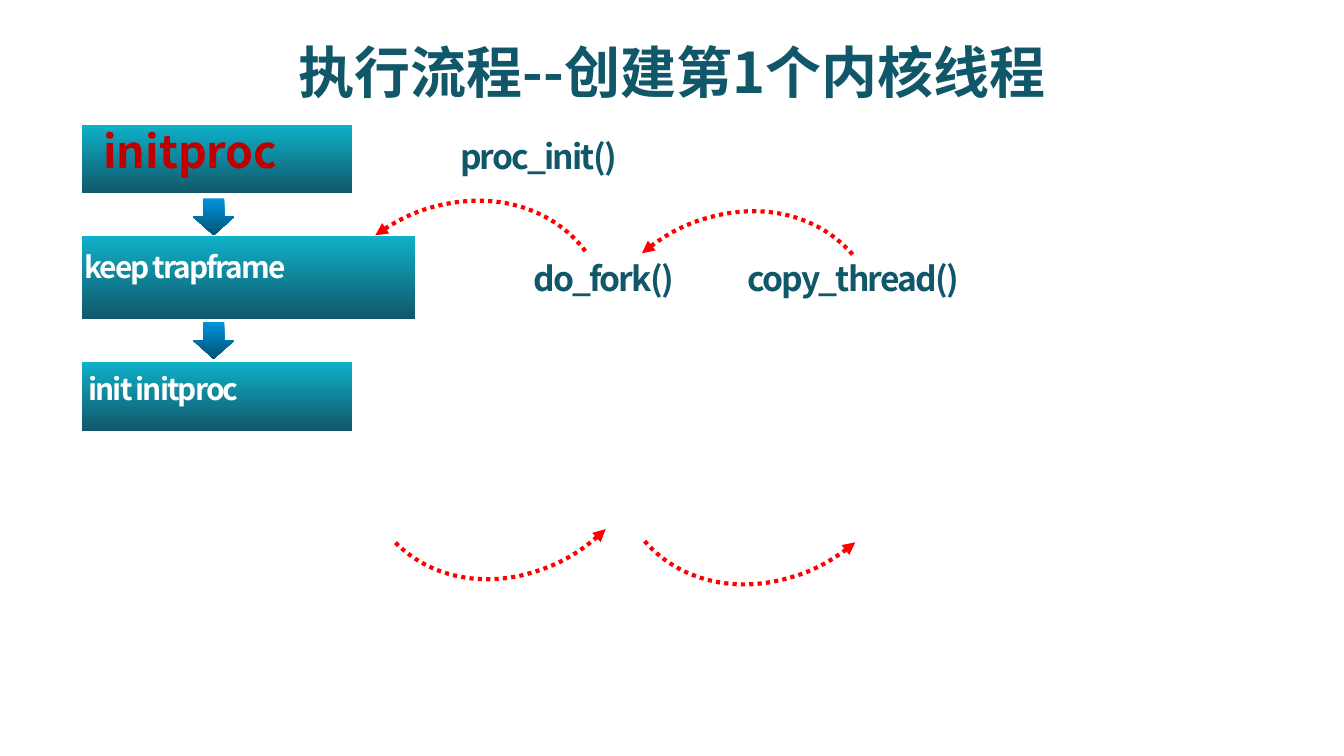
from lxml.etree import SubElement
from pptx import Presentation
from pptx.dml.color import RGBColor
from pptx.enum.dml import MSO_LINE
from pptx.enum.shapes import MSO_SHAPE as Shape
from pptx.enum.text import MSO_ANCHOR as Anchor, MSO_AUTO_SIZE as AutoSize, PP_ALIGN as Align
from pptx.oxml.ns import qn
from pptx.util import Pt

PX = 4572  # 200 px to the inch
FONT = "Noto Sans CJK SC"
TEAL, DEEP_RED, WHITE, RED = "11576A", "C00000", "FFFFFF", "FF0000"
BOX_GRADIENT = ("0EB1C8", TEAL)
ARROW_GRADIENT = ("0093DD", "005472")


def px(*lengths):
    return [length * PX for length in lengths]


def color(hex_string):
    return RGBColor.from_string(hex_string)


def write(frame, text, size, hex_string, align=Align.LEFT, tracking=0):
    frame.word_wrap = True
    frame.auto_size = AutoSize.NONE
    frame.vertical_anchor = Anchor.TOP
    frame.text = text
    para = frame.paragraphs[0]
    para.alignment = align
    span = para.runs[0]
    span.font.name = FONT
    span.font.size = Pt(size)
    span.font.bold = True
    span.font.color.rgb = color(hex_string)
    props = span.font._element
    SubElement(props, qn("a:ea")).set("typeface", FONT)
    if tracking:
        props.set("spc", str(tracking * 100))


def add_label(page, left, top, width, height, text, size, hex_string, tracking=-1):
    box = page.shapes.add_textbox(*px(left, top, width, height))
    write(box.text_frame, text, size, hex_string, tracking=tracking)


def add_gradient_shape(page, kind, left, top, width, height, stops):
    shape = page.shapes.add_shape(kind, *px(left, top, width, height))
    shape.shadow.inherit = False
    shape.line.fill.background()
    shape.fill.gradient()
    shape.fill.gradient_angle = 270
    for stop, hex_string in zip(shape.fill.gradient_stops, stops):
        stop.color.rgb = color(hex_string)


def add_title(page, left, top, width, height):
    title = page.shapes.title
    title.left, title.top, title.width, title.height = px(left, top, width, height)
    write(title.text_frame, "执行流程--创建第1个内核线程", 30, TEAL, Align.CENTER)


def add_flow(page, left, top):
    """Three stacked steps with block arrows between them."""
    for offset, width, height in ((0, 402, 102), (165, 496, 124), (353, 402, 102)):
        add_gradient_shape(page, Shape.RECTANGLE, left, top + offset, width, height, BOX_GRADIENT)
    for offset in (109, 293):
        add_gradient_shape(page, Shape.DOWN_ARROW, left + 165, top + offset, 62, 55, ARROW_GRADIENT)
    add_label(page, left + 12, top - 12, 332, 100, "initproc", 24, DEEP_RED, tracking=0)
    add_label(page, left - 16, top + 174, 386, 76, "keep trapframe", 16, WHITE)
    add_label(page, left - 10, top + 356, 294, 76, "init initproc", 16, WHITE)


def add_calls(page, left, top):
    """Function names of the call chain."""
    for x, y, width, name in ((0, 0, 298, "proc_init()"),
                              (109, 182, 270, "do_fork()"),
                              (428, 182, 394, "copy_thread()")):
        add_label(page, left + x, top + y, width, 80, name, 18, TEAL)


def add_return_arcs(page, left, top):
    """Dotted arcs: the upper pair points left, the lower pair points right."""
    for x, y, rotation in ((0, 0, 324), (408, 18, 320), (80, 124, 136), (462, 134, 140)):
        arc = page.shapes.add_shape(Shape.ARC, *px(left + x, top + y, 478, 410))
        arc.shadow.inherit = False
        arc.rotation = rotation
        arc.fill.background()
        arc.line.color.rgb = color(RED)
        arc.line.width = Pt(2.25)
        arc.line.dash_style = MSO_LINE.ROUND_DOT
        line = arc.line._get_or_add_ln()
        line.find(qn("a:prstDash")).set("val", "sysDot")
        SubElement(line, qn("a:headEnd")).set("type", "triangle")


def main():
    deck = Presentation()
    deck.slide_width, deck.slide_height = px(2000, 1125)
    page = deck.slides.add_slide(deck.slide_layouts[5])
    add_title(page, 0, 46, 2000, 122)
    add_flow(page, 122, 186)
    add_calls(page, 665, 192)
    add_return_arcs(page, 440, 311)
    deck.save("out.pptx")


if __name__ == "__main__":
    main()
